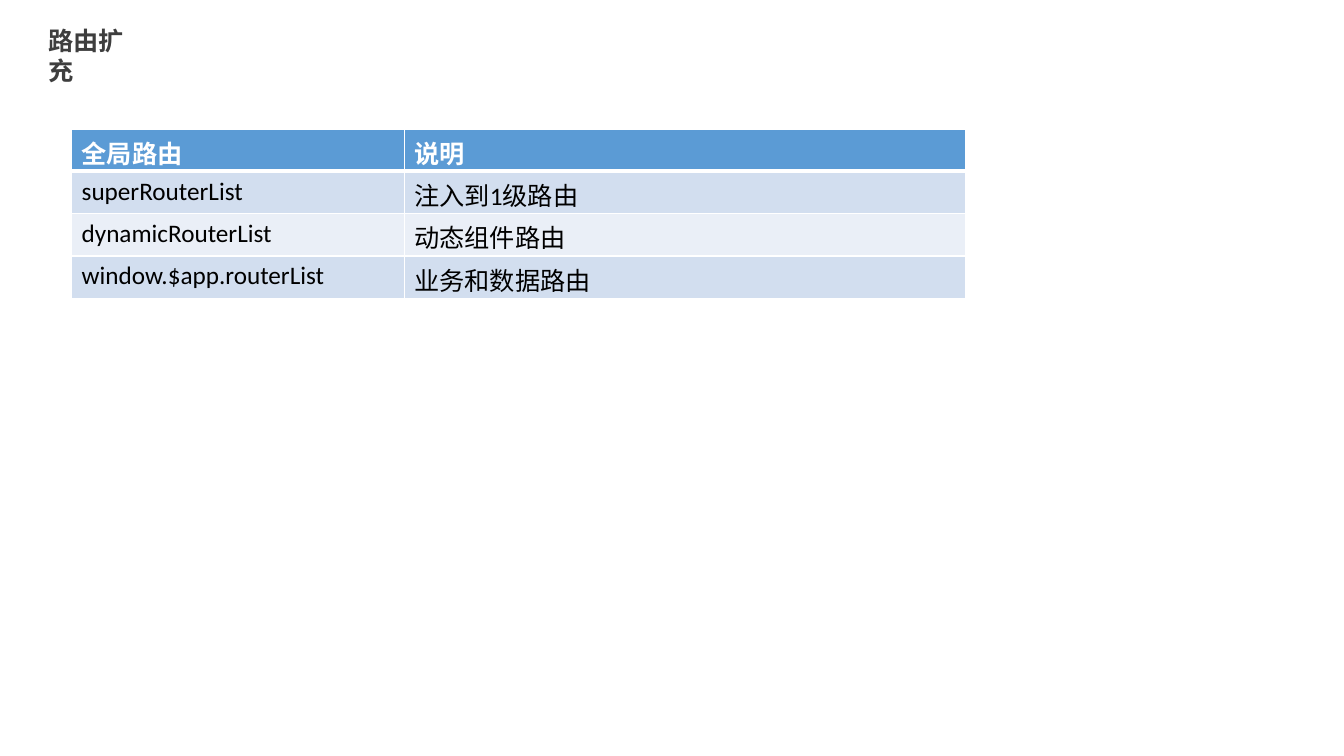
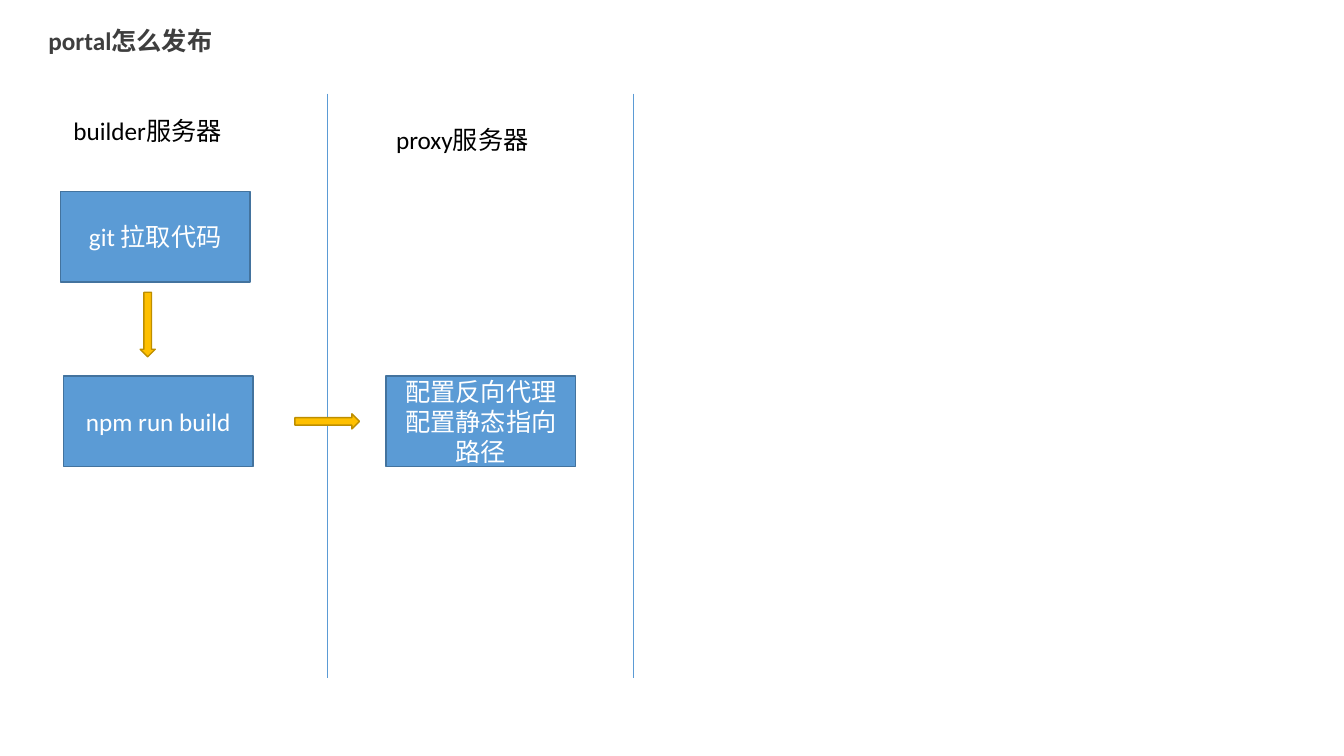
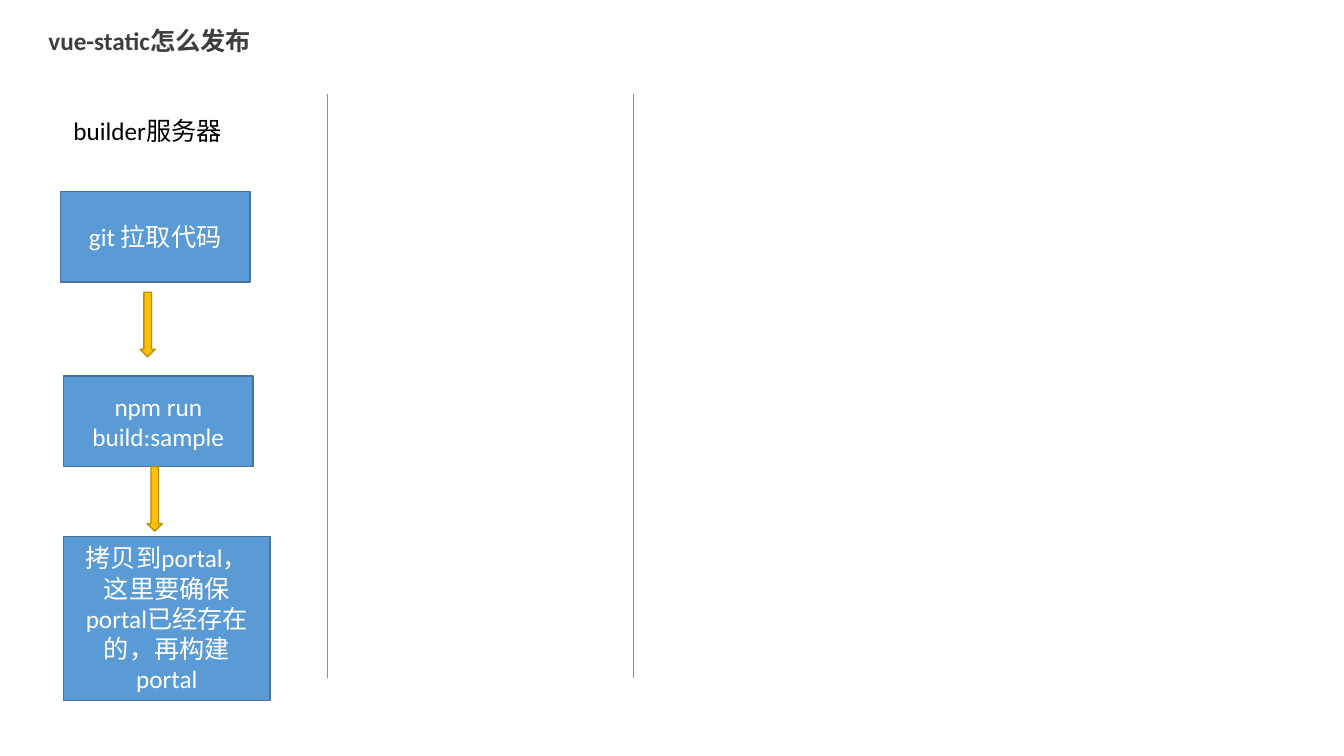
from lxml import etree
from pptx import Presentation
from pptx.dml.color import RGBColor
from pptx.enum import shapes, text
from pptx.oxml import ns
from pptx.util import Inches, Pt

COLORS = {
    "title": "3E3E3E", "ink": "000000", "white": "FFFFFF",
    "blue": "5B9BD5", "blue_edge": "43739E",
    "gold": "FFC000", "gold_edge": "BD8E00",
    "bands": ("D2DEEF", "EAEFF7"),
}
FONT = {"name": "Calibri", "size": Pt(18)}

ROUTES = {
    "title": ("路由扩充", 1.2),
    "rows": [
        ("全局路由", "说明"),
        ("superRouterList", "注入到1级路由"),
        ("dynamicRouterList", "动态组件路由"),
        ("window.$app.routerList", "业务和数据路由"),
    ],
    "place": (0.71, 1.28),
    "columns": (3.3, 5.57),
    "row_height": 0.42,
}

# Labels: text, left, top. Steps: text, left, top, width, height.
# Arrows: left, top, rotation.
BUILD_LABEL = ("builder服务器", 0.63, 1.09)
PULL_STEP = ("git 拉取代码", 0.6, 1.9, 1.88, 0.9)
PULL_ARROW = (1.39, 2.9, 0)
FLOWS = [
    {
        "title": ("portal怎么发布", 1.96),
        "labels": [BUILD_LABEL, ("proxy服务器", 3.83, 1.18)],
        "steps": [
            PULL_STEP,
            ("npm run build", 0.63, 3.73, 1.88, 0.9),
            ("配置反向代理\n配置静态指向路径", 3.83, 3.73, 1.88, 0.9),
        ],
        "arrows": [PULL_ARROW, (3.17, 3.86, 270)],
    },
    {
        "title": ("vue-static怎么发布", 2.46),
        "labels": [BUILD_LABEL],
        "steps": [
            PULL_STEP,
            ("npm run build:sample", 0.63, 3.73, 1.88, 0.9),
            ("拷贝到portal，这里要确保portal已经存在的，再构建portal",
             0.63, 5.32, 2.05, 1.63),
        ],
        "arrows": [PULL_ARROW, (1.46, 4.63, 0)],
    },
]
LANE_EDGES = (3.25, 6.28)
LANE_TOP, LANE_BOTTOM = 0.93, 6.73
LABEL_SIZE = (1.71, 0.4)
ARROW_SIZE = (0.15, 0.64)


def rgb(value):
    """Turn a hex string into a colour."""
    return RGBColor.from_string(value)


def inches(*values):
    """Turn numbers into lengths."""
    return [Inches(value) for value in values]


def write(frame, words, color, bold=False, align=text.PP_ALIGN.LEFT, **options):
    """Fill a text frame, one paragraph per line, in the shared font."""
    for name, value in options.items():
        setattr(frame, name, value)
    frame.text = words
    for paragraph in frame.paragraphs:
        paragraph.alignment = align
        for run in paragraph.runs:
            for name, value in {**FONT, "bold": bold}.items():
                setattr(run.font, name, value)
            run.font.color.rgb = rgb(color)


def add_titled_slide(presentation, words, width):
    """Add a title-only slide and place its title at the top left."""
    slide = presentation.slides.add_slide(presentation.slide_layouts[5])
    title = slide.shapes.title
    title.left, title.top, title.width, title.height = inches(0.38, 0.2, width, 0.4)
    write(title.text_frame, words, COLORS["title"], bold=True, word_wrap=False,
          auto_size=text.MSO_AUTO_SIZE.SHAPE_TO_FIT_TEXT,
          vertical_anchor=text.MSO_ANCHOR.TOP)
    return slide


def add_block(slide, kind, place, fill, edge):
    """Add a filled preset shape with a thin edge."""
    shape = slide.shapes.add_shape(kind, *inches(*place))
    shape.shadow.inherit = False
    shape.fill.solid()
    shape.fill.fore_color.rgb = rgb(fill)
    shape.line.color.rgb = rgb(edge)
    shape.line.width = Pt(1)
    return shape


def add_step(slide, words, *place):
    """Add a blue box with centred text."""
    step = add_block(slide, shapes.MSO_SHAPE.RECTANGLE, place,
                     COLORS["blue"], COLORS["blue_edge"])
    write(step.text_frame, words, COLORS["white"], align=text.PP_ALIGN.CENTER,
          word_wrap=True, vertical_anchor=text.MSO_ANCHOR.MIDDLE)


def add_arrow(slide, left, top, rotation):
    """Add a gold block arrow."""
    arrow = add_block(slide, shapes.MSO_SHAPE.DOWN_ARROW, (left, top, *ARROW_SIZE),
                      COLORS["gold"], COLORS["gold_edge"])
    arrow.rotation = rotation


def add_label(slide, words, left, top):
    """Add the heading of a lane."""
    label = slide.shapes.add_textbox(*inches(left, top, *LABEL_SIZE))
    write(label.text_frame, words, COLORS["ink"], word_wrap=True,
          auto_size=text.MSO_AUTO_SIZE.SHAPE_TO_FIT_TEXT)


def add_lane_edge(slide, left):
    """Add a thin vertical line between lanes."""
    line = slide.shapes.add_connector(
        shapes.MSO_CONNECTOR.STRAIGHT, *inches(left, LANE_TOP, left, LANE_BOTTOM))
    line.line.color.rgb = rgb(COLORS["blue"])
    line.line.width = Pt(0.5)
    etree.SubElement(line._element.spPr, ns.qn("a:effectLst"))


def border_cell(cell, bottom):
    """Draw white borders, with the bottom one as wide as given."""
    properties = cell._tc.get_or_add_tcPr()
    for position, (side, points) in enumerate(
            [("L", 1), ("R", 1), ("T", 1), ("B", bottom)]):
        border = etree.Element(ns.qn("a:ln" + side), w=str(Pt(points)))
        fill = etree.SubElement(border, ns.qn("a:solidFill"))
        etree.SubElement(fill, ns.qn("a:srgbClr"), val=COLORS["white"])
        properties.insert(position, border)


def add_route_table(slide, rows, place, columns, row_height):
    """Add a table with a blue header and banded rows."""
    size = (sum(columns), row_height * len(rows))
    table = slide.shapes.add_table(
        len(rows), len(columns), *inches(*place, *size)).table
    for column, width in zip(table.columns, columns):
        column.width = Inches(width)
    for row_index, row in enumerate(rows):
        header = row_index == 0
        fill = COLORS["blue"] if header else COLORS["bands"][(row_index - 1) % 2]
        for column_index, words in enumerate(row):
            cell = table.cell(row_index, column_index)
            write(cell.text_frame, words, COLORS["white" if header else "ink"],
                  bold=header)
            cell.fill.solid()
            cell.fill.fore_color.rgb = rgb(fill)
            border_cell(cell, bottom=3 if header else 1)


def add_flow_slide(presentation, flow):
    """Add a slide with lanes, steps and arrows."""
    slide = add_titled_slide(presentation, *flow["title"])
    for left in LANE_EDGES:
        add_lane_edge(slide, left)
    for part, add in (("labels", add_label), ("steps", add_step),
                      ("arrows", add_arrow)):
        for values in flow[part]:
            add(slide, *values)


def main():
    """Build and save the presentation."""
    presentation = Presentation()
    presentation.slide_width, presentation.slide_height = inches(13.33, 7.5)
    slide = add_titled_slide(presentation, *ROUTES["title"])
    add_route_table(slide, ROUTES["rows"], ROUTES["place"], ROUTES["columns"],
                    ROUTES["row_height"])
    for flow in FLOWS:
        add_flow_slide(presentation, flow)
    presentation.save("out.pptx")


main()
